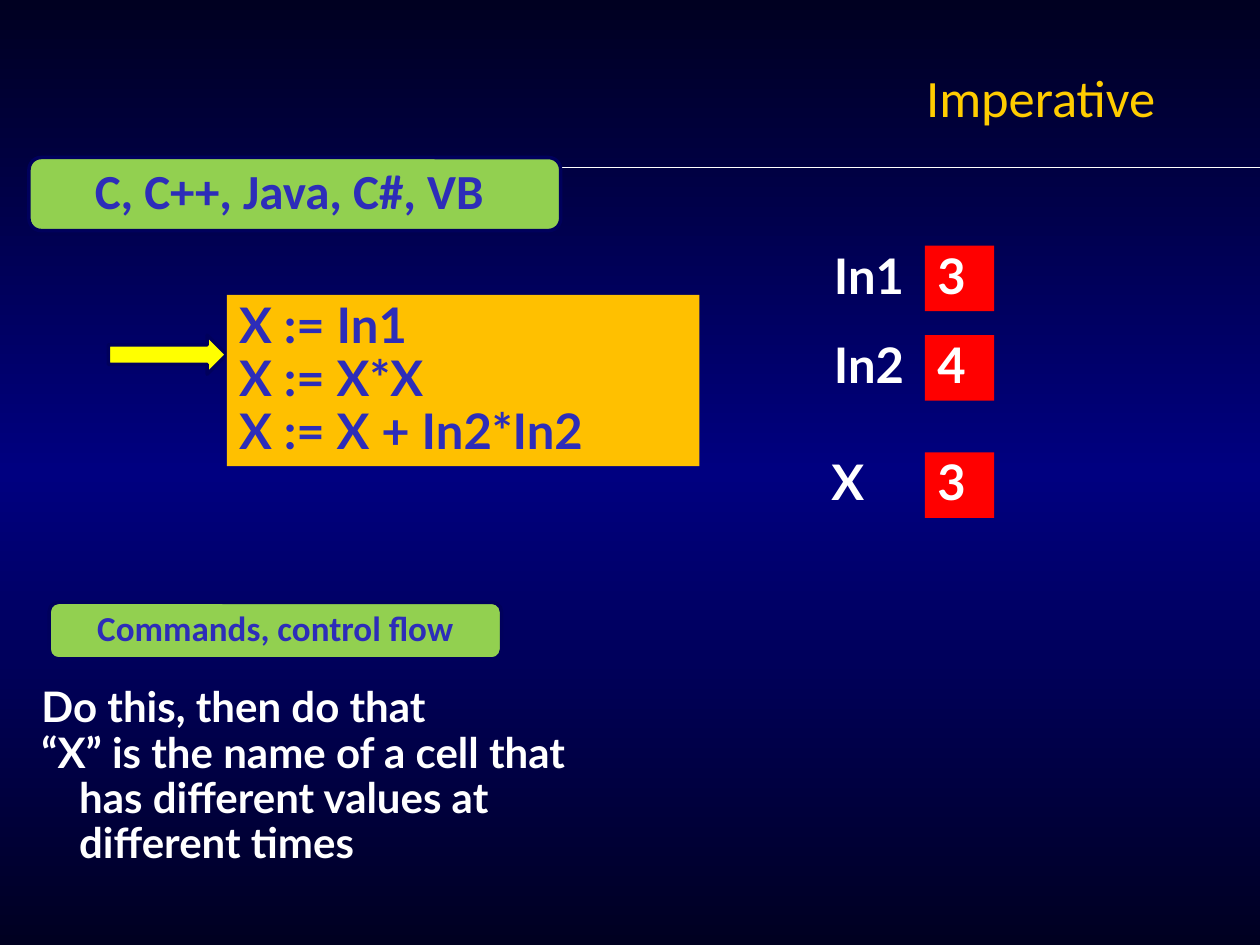
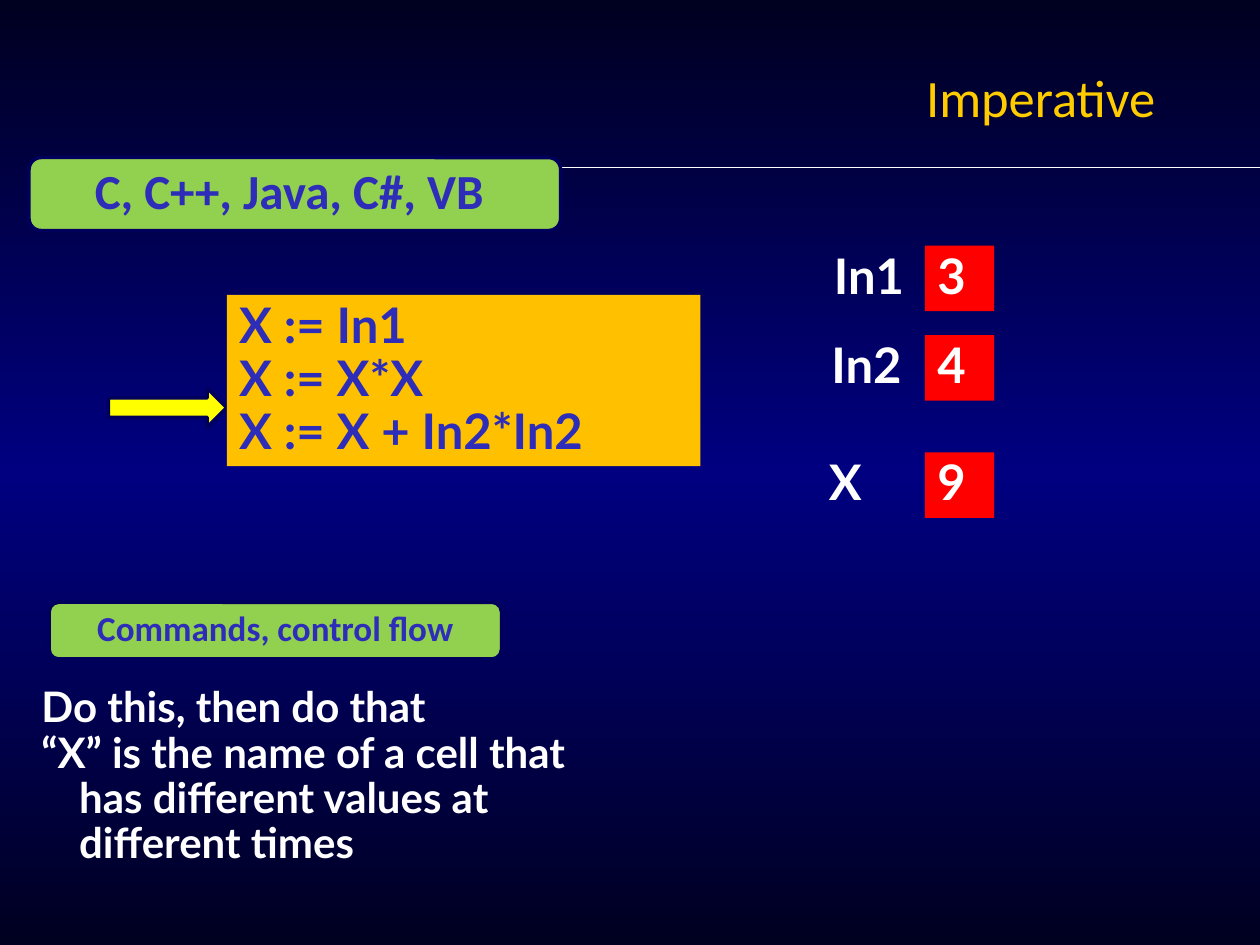
from copy import deepcopy

from pptx import Presentation
from pptx.dml.color import RGBColor
from pptx.enum.shapes import MSO_CONNECTOR, MSO_SHAPE
from pptx.enum.text import MSO_ANCHOR, MSO_AUTO_SIZE, PP_ALIGN
from pptx.oxml.ns import qn
from pptx.oxml.xmlchemy import OxmlElement
from pptx.util import Pt

PX = 9144
SLIDE_SIZE = (1000, 750)
NIGHT, NAVY, WHITE, GOLD = "000021", "000080", "FFFFFF", "FFCC00"
GREEN, INK, EDGE = "92D050", "2D2DB9", "00005C"
RED, AMBER, YELLOW = "FF0000", "FFC000", "FFFF00"
HEADING, BODY = "Calibri", "Lato"

PROGRAM = ["X := In1", "X := X*X", "X := X + In2*In2"]
REMARKS = [
    "Do this, then do that",
    "“X” is the name of a cell that has different values at different times",
]
STEPS = [
    {
        "done_lines": 1,
        "program_width": 375,
        "memory": [("In1", "3", 0, 4, 83), ("In2", "4", 71, 4, 83), ("X", "3", 164, 2, 46)],
    },
    {
        "done_lines": 2,
        "program_width": 376,
        "memory": [("In1", "3", 0, 4, 83), ("In2", "4", 71, 2, 83), ("X", "9", 164, 0, 46)],
    },
]


def px(*lengths):
    """Turn px lengths into EMU."""
    return [length * PX for length in lengths]


def rgb(value):
    """Turn a hex string into a colour."""
    return RGBColor.from_string(value)


def set_all(target, values):
    """Set every named attribute of the target."""
    for name, value in values.items():
        setattr(target, name, value)


def write(holder, lines, size, color, font=BODY, bold=True, align=PP_ALIGN.LEFT,
          anchor=MSO_ANCHOR.TOP, spacing=0.9, wrap=True, grow=True, hanging=0):
    """Fill a shape with formatted paragraphs."""
    frame = holder.text_frame
    frame.text = "\n".join(lines)
    fit = MSO_AUTO_SIZE.SHAPE_TO_FIT_TEXT if grow else MSO_AUTO_SIZE.NONE
    set_all(frame, {"word_wrap": wrap, "auto_size": fit, "vertical_anchor": anchor})
    for paragraph in frame.paragraphs:
        set_all(paragraph, {"alignment": align, "line_spacing": spacing})
        if hanging:
            properties = paragraph._p.get_or_add_pPr()
            properties.set("marL", str(hanging * PX))
            properties.set("indent", str(-hanging * PX))
        for run in paragraph.runs:
            set_all(run.font, {"name": font, "size": Pt(size), "bold": bold})
            run.font.color.rgb = rgb(color)


def add_block(slide, kind, box, fill, edge=None):
    """Add a filled preset shape, outlined if an edge colour is given."""
    block = slide.shapes.add_shape(kind, *px(*box))
    block.shadow.inherit = False
    block.fill.solid()
    block.fill.fore_color.rgb = rgb(fill)
    if edge:
        block.line.color.rgb = rgb(edge)
        block.line.width = Pt(2)
    else:
        block.line.fill.background()
    return block


def paint_background(slide):
    """Give the slide its dark, navy, dark vertical gradient."""
    fill = slide.background.fill
    fill.gradient()
    fill.gradient_angle = 270
    stop_list = next(slide.element.iter(qn("a:gsLst")))
    stop_list.append(deepcopy(stop_list[-1]))
    for stop, position, color in zip(fill.gradient_stops, (0, 0.5, 1), (NIGHT, NAVY, NIGHT)):
        stop.position = position
        stop.color.rgb = rgb(color)


def add_header(slide, box, heading):
    """Place the title and the rule below it."""
    left, top, width, height = box
    title = slide.shapes.title
    set_all(title, dict(zip(("left", "top", "width", "height"), px(*box))))
    write(title, [heading], 30, GOLD, HEADING, bold=False, align=PP_ALIGN.RIGHT,
          anchor=MSO_ANCHOR.MIDDLE, spacing=1.0, grow=False)
    rule_y = top + height + 23
    rule = slide.shapes.add_connector(
        MSO_CONNECTOR.STRAIGHT, *px(left + 19, rule_y, SLIDE_SIZE[0], rule_y))
    rule.line.color.rgb = rgb(WHITE)
    rule.line.width = Pt(0.75)
    rule._element.spPr.append(OxmlElement("a:effectLst"))


def add_badge(slide, box, caption, size):
    """Place a green rounded caption."""
    badge = add_block(slide, MSO_SHAPE.ROUNDED_RECTANGLE, box, GREEN, EDGE)
    write(badge, [caption], size, INK, HEADING, align=PP_ALIGN.CENTER,
          anchor=MSO_ANCHOR.MIDDLE)


def add_remarks(slide, box):
    """Place the explanation with hanging indents."""
    remarks = slide.shapes.add_textbox(*px(*box))
    write(remarks, REMARKS, 24, WHITE, hanging=30)


def add_memory(slide, box, cells):
    """Place the named memory cells in the column given by the box."""
    left, top, width, cell_height = box
    cell_width = 55
    for name, value, drop, inset, name_width in cells:
        cell_box = (left + width - cell_width, top + drop, cell_width, cell_height)
        cell = add_block(slide, MSO_SHAPE.RECTANGLE, cell_box, RED)
        write(cell, [value], 28, WHITE)
        label = slide.shapes.add_textbox(
            *px(left + inset, top + drop, name_width, cell_height))
        write(label, [name], 28, WHITE, wrap=False)


def add_program(slide, box, done_lines):
    """Place the program and the arrow below its last executed line."""
    left, top, width, height = box
    arrow_width, line_pitch = 94, 42
    arrow_top = top + 32 + line_pitch * (done_lines - 1)
    add_block(slide, MSO_SHAPE.RIGHT_ARROW,
              (left - arrow_width, arrow_top, arrow_width, 31), YELLOW, EDGE)
    program = add_block(slide, MSO_SHAPE.RECTANGLE, box, AMBER)
    write(program, PROGRAM, 28, INK)


def add_step_slide(deck, step):
    """Build one step of the imperative program."""
    slide = deck.slides.add_slide(deck.slide_layouts[5])
    paint_background(slide)
    add_header(slide, (73, 43, 854, 67), "Imperative")
    add_badge(slide, (23, 125, 422, 58), "C, C++, Java, C#, VB ", 28)
    add_remarks(slide, (23, 540, 438, 190))
    add_badge(slide, (39, 478, 359, 45), "Commands, control flow", 20)
    add_memory(slide, (648, 195, 141, 52), step["memory"])
    add_program(slide, (180, 234, step["program_width"], 136), step["done_lines"])


def main():
    """Build and save the deck."""
    deck = Presentation()
    deck.slide_width, deck.slide_height = px(*SLIDE_SIZE)
    for step in STEPS:
        add_step_slide(deck, step)
    deck.save("out.pptx")


if __name__ == "__main__":
    main()
